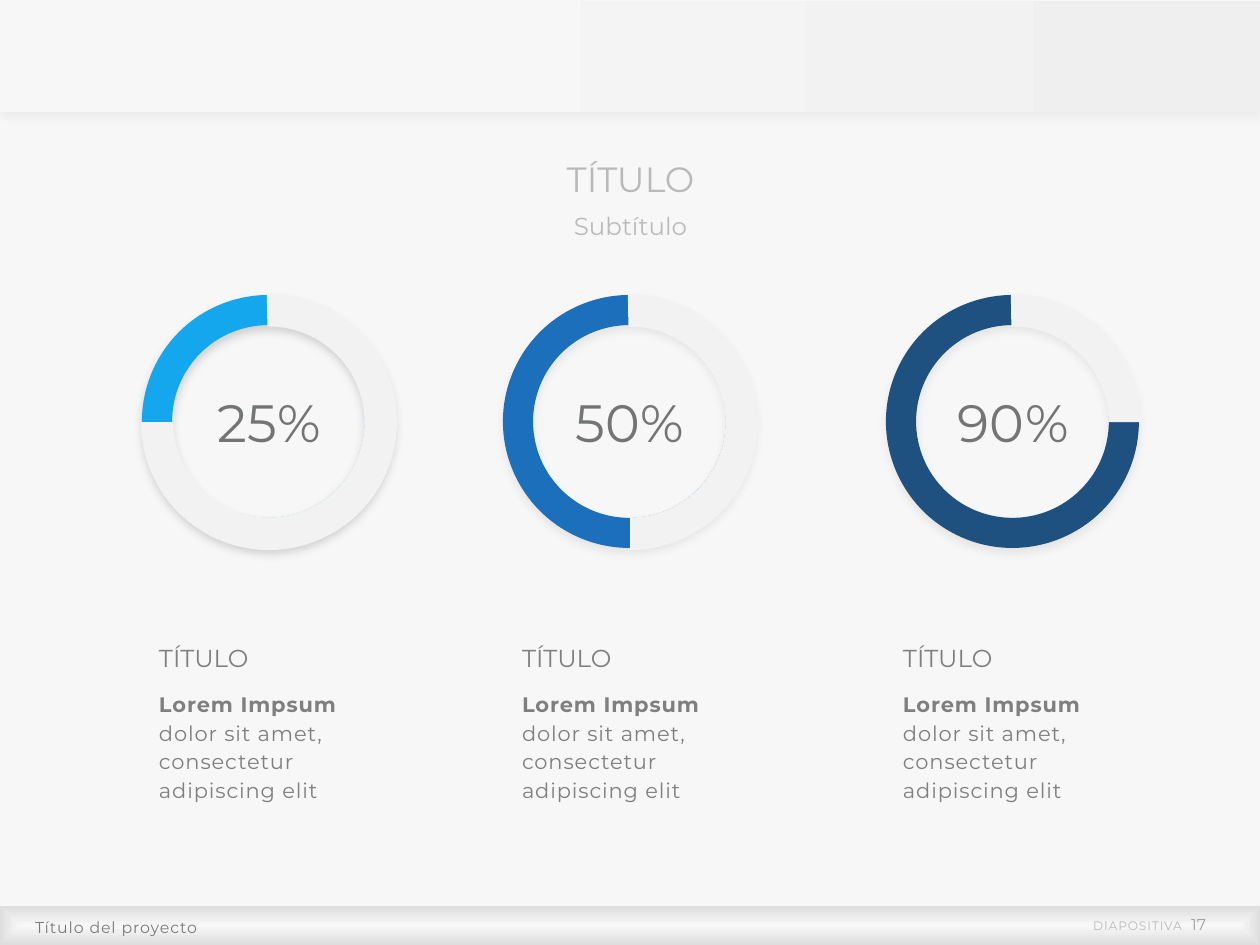
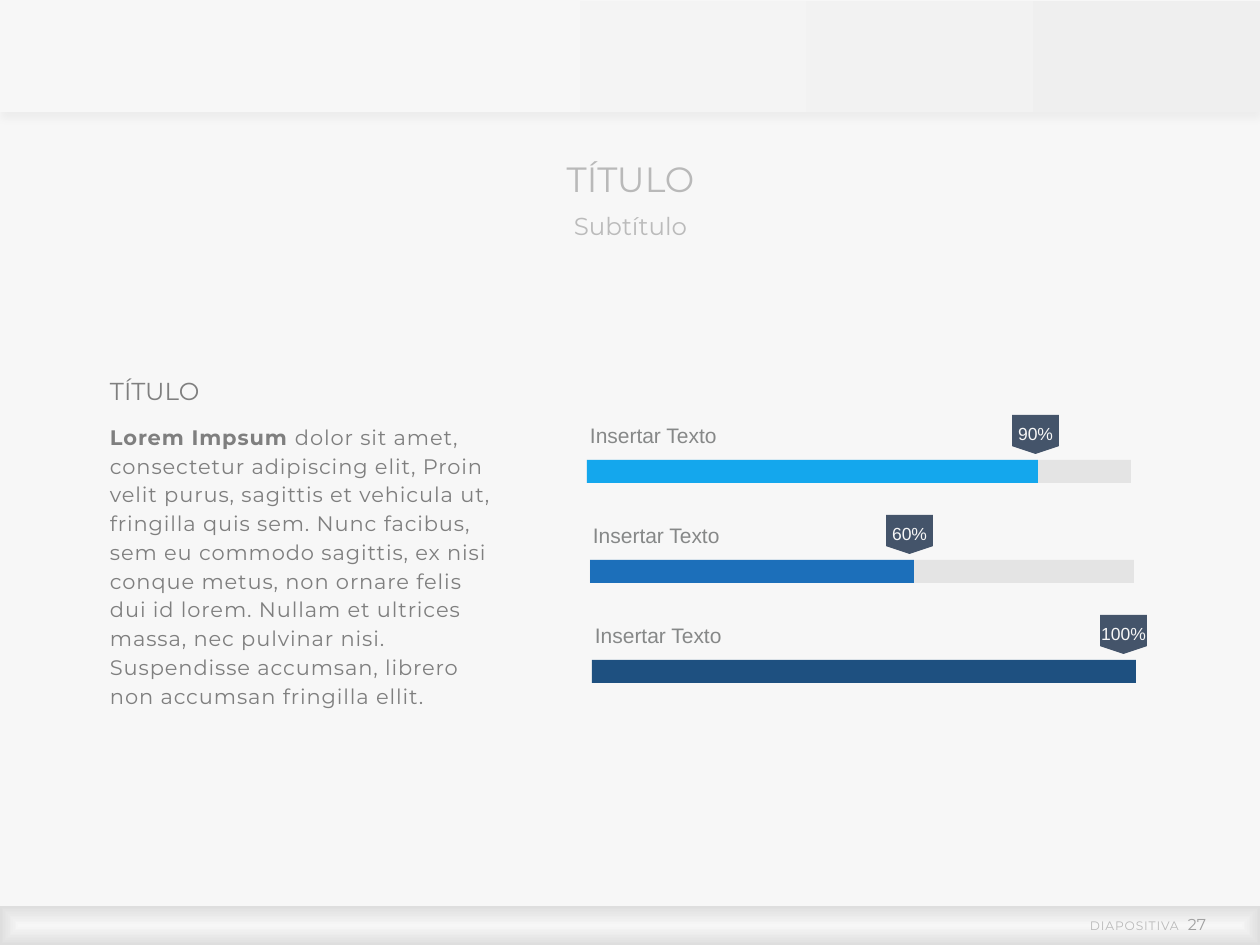
from dataclasses import dataclass

from lxml import etree
from pptx import Presentation
from pptx.dml.color import RGBColor
from pptx.enum import shapes, text
from pptx.oxml import ns
from pptx.util import Emu, Pt

PX = 914400 / 126
SLIDE_WIDTH, SLIDE_HEIGHT = 1260, 945
SHAPE = shapes.MSO_SHAPE
ALIGN = text.PP_ALIGN
ANCHOR = text.MSO_ANCHOR


@dataclass(frozen=True)
class Theme:
    font: str = "Montserrat"
    label_font: str = "Arial"
    background: str = "F7F7F7"
    header_end: str = "EFEFEF"
    footer_edge: str = "DEDEDE"
    heading: str = "B9B9B9"
    subtitle: str = "BBBBBB"
    page_number: str = "A1A1A1"
    project: str = "7C7C7C"
    body: str = "7F7F7F"
    percent: str = "737474"
    label: str = "868888"
    tag: str = "44546A"
    ring_rest: str = "F2F2F2"
    track: str = "E4E4E4"
    sky: str = "14A7ED"
    blue: str = "1C6FBA"
    navy: str = "1E5080"
    percent_size: int = 30
    heading_size: int = 20
    title_size: int = 14
    body_size: int = 12
    tag_size: int = 10
    footer_size: int = 9
    small_size: int = 7


def px(*lengths):
    return [Emu(round(length * PX)) for length in lengths]


class Deck:
    def __init__(self, theme):
        self.theme = theme
        self.presentation = Presentation()
        self.presentation.slide_width, self.presentation.slide_height = px(SLIDE_WIDTH, SLIDE_HEIGHT)
        self.slide = None

    def add_slide(self, number):
        """Start a slide with its bands, page number, title and subtitle."""
        theme = self.theme
        self.slide = self.presentation.slides.add_slide(self.presentation.slide_layouts[6])
        fill = self.slide.background.fill
        fill.solid()
        fill.fore_color.rgb = RGBColor.from_string(theme.background)

        header = self.shape(SHAPE.RECTANGLE, (0, 1, SLIDE_WIDTH, 111))
        self.gradient(header, 0.28, theme.header_end)
        self.shadow(header, 3, 4)
        footer = self.shape(SHAPE.RECTANGLE, (0, 906, SLIDE_WIDTH, 39))
        self.gradient(footer, 0, theme.footer_edge, from_centre=True)

        small = dict(size=theme.small_size, color=theme.heading)
        self.text(
            (1076, 915, 130, 19),
            [("DIAPOSITIVA", dict(small, spacing=0.5)),
             (" ", dict(small, spacing=2.85)),
             (number, dict(size=theme.footer_size, color=theme.page_number))],
            align=ALIGN.RIGHT, insets=(0, 0, 0, 0))
        self.text((402, 154, 457, 52),
                  [("TÍTULO", dict(size=theme.heading_size, color=theme.heading))],
                  align=ALIGN.CENTER, anchor=ANCHOR.BOTTOM, line_spacing=0.9)
        self.text((402, 208, 457, 40),
                  [("Subtítulo", dict(size=theme.title_size, color=theme.subtitle))],
                  align=ALIGN.CENTER, line_spacing=0.9)

    def shape(self, kind, box, color=None, adjustments=(), flipped=False):
        shape = self.slide.shapes.add_shape(kind, *px(*box))
        shape.shadow.inherit = False
        shape.line.fill.background()
        if color:
            shape.fill.solid()
            shape.fill.fore_color.rgb = RGBColor.from_string(color)
        for index, value in enumerate(adjustments):
            shape.adjustments[index] = value
        if flipped:
            shape._element.spPr.get_or_add_xfrm().set("flipH", "1")
        return shape

    def gradient(self, shape, start, end_color, from_centre=False):
        """Fade from the background colour to end_color, rightwards or outwards."""
        shape.fill.gradient()
        shape.fill.gradient_angle = 0
        first, last = shape.fill.gradient_stops
        first.position, last.position = start, 1
        first.color.rgb = RGBColor.from_string(self.theme.background)
        last.color.rgb = RGBColor.from_string(end_color)
        if from_centre:
            linear = shape._element.spPr.find(".//" + ns.qn("a:lin"))
            outward = etree.Element(ns.qn("a:path"), {"path": "shape"})
            etree.SubElement(outward, ns.qn("a:fillToRect"), dict.fromkeys("ltrb", "50000"))
            linear.getparent().replace(linear, outward)

    def shadow(self, shape, opacity, blur):
        """Cast a black shadow downwards; opacity is in percent, blur in points."""
        effects = shape._element.spPr.find(ns.qn("a:effectLst"))
        outer = etree.SubElement(effects, ns.qn("a:outerShdw"), {
            "blurRad": str(Pt(blur)), "dist": str(Pt(3)), "dir": "5400000",
            "algn": "t", "rotWithShape": "0"})
        color = etree.SubElement(outer, ns.qn("a:srgbClr"), {"val": "000000"})
        etree.SubElement(color, ns.qn("a:alpha"), {"val": str(opacity * 1000)})

    def text(self, box, runs, **layout):
        shape = self.slide.shapes.add_textbox(*px(*box))
        self.fill_text(shape, runs, **layout)

    def fill_text(self, shape, runs, align=ALIGN.LEFT, anchor=ANCHOR.TOP,
                  insets=(13, 6, 13, 6), line_spacing=1.0):
        frame = shape.text_frame
        frame.word_wrap = True
        frame.vertical_anchor = anchor
        (frame.margin_left, frame.margin_top,
         frame.margin_right, frame.margin_bottom) = px(*insets)
        paragraph = frame.paragraphs[0]
        paragraph.alignment = align
        paragraph.line_spacing = line_spacing
        for words, style in runs:
            run = paragraph.add_run()
            run.text = words
            self.style_run(run, **style)

    def style_run(self, run, size, color, font=None, bold=False, spacing=0):
        run.font.name = font or self.theme.font
        run.font.size = Pt(size)
        run.font.bold = bold
        run.font.color.rgb = RGBColor.from_string(color)
        if spacing:
            run._r.get_or_add_rPr().set("spc", str(round(spacing * 100)))

    def text_block(self, left, top, width, height, words):
        """A small title above a paragraph that opens in bold."""
        theme = self.theme
        self.text((left, top, 236, 69),
                  [("TÍTULO", dict(size=theme.title_size, color=theme.body))],
                  anchor=ANCHOR.BOTTOM, line_spacing=0.9)
        style = dict(size=theme.body_size, color=theme.body, spacing=0.5)
        self.text((left, top + 72, width, height),
                  [("Lorem Impsum ", dict(style, bold=True)), (words, style)],
                  line_spacing=1.14)

    def ring(self, left, percent, color, rest_start, opacity):
        """A donut partly covered by a pale arc that starts at rest_start degrees."""
        theme = self.theme
        top, size = 295, 253
        donut = self.shape(SHAPE.DONUT, (left, top, size, size), color, [0.119], flipped=True)
        self.shadow(donut, opacity, 5.6)
        self.shape(SHAPE.BLOCK_ARC, (left - 1, top - 1, size + 3, size + 3), theme.ring_rest,
                   [rest_start * 0.6, 270.95 * 0.6, 0.127], flipped=True)
        self.text((left, 384, size + 1, 77),
                  [(percent, dict(size=theme.percent_size, color=theme.percent, spacing=0.3))],
                  align=ALIGN.CENTER)

    def progress_bar(self, left, top, filled, color, percent, tag_left):
        theme = self.theme
        width, height = 544, 23
        self.text((left + 3, top - 37, 251, 25),
                  [("Insertar Texto", dict(size=theme.body_size, color=theme.label,
                                           font=theme.label_font))],
                  anchor=ANCHOR.MIDDLE, insets=(0, 0, 0, 0))
        if filled < width:
            self.shape(SHAPE.RECTANGLE, (left, top, width, height), theme.track)
        self.shape(SHAPE.RECTANGLE, (left, top, filled, height), color)
        tag = self.shape(SHAPE.FLOWCHART_OFFPAGE_CONNECTOR, (tag_left, top - 45, 47, 39), theme.tag)
        self.fill_text(tag, [(percent, dict(size=theme.tag_size, color=theme.background,
                                            font=theme.label_font))],
                       align=ALIGN.CENTER, anchor=ANCHOR.MIDDLE, insets=(0, 5, 0, 0))


def add_rings_slide(deck):
    theme = deck.theme
    deck.add_slide("17")
    deck.text((30, 906, 927, 39),
              [("Título del proyecto", dict(size=theme.footer_size, color=theme.project,
                                            spacing=0.5))],
              anchor=ANCHOR.MIDDLE, insets=(5, 0, 0, 0), line_spacing=1.14)
    rings = [
        (142, 146, "25%", theme.sky, 0, 17),
        (503, 509, "50%", theme.blue, 90, 7),
        (886, 890, "90%", theme.navy, 180, 7),
    ]
    for ring_left, text_left, percent, color, rest_start, opacity in rings:
        deck.ring(ring_left, percent, color, rest_start, opacity)
        deck.text_block(text_left, 610, 236, 134, "dolor sit amet, consectetur adipiscing elit")


def add_bars_slide(deck):
    theme = deck.theme
    deck.add_slide("27")
    deck.text_block(
        97, 343, 411, 373,
        "dolor sit amet, consectetur adipiscing elit, Proin velit purus, sagittis et "
        "vehicula ut, fringilla quis sem. Nunc facibus, sem eu commodo sagittis, ex nisi "
        "conque metus, non ornare felis dui id lorem. Nullam et ultrices massa, nec "
        "pulvinar nisi. Suspendisse accumsan, librero non accumsan fringilla ellit.")
    bars = [
        (587, 451, theme.sky, "90%", 1012),
        (590, 324, theme.blue, "60%", 886),
        (592, 544, theme.navy, "100%", 1100),
    ]
    for row, (left, filled, color, percent, tag_left) in enumerate(bars):
        deck.progress_bar(left, 460 + 100 * row, filled, color, percent, tag_left)


def main():
    deck = Deck(Theme())
    add_rings_slide(deck)
    add_bars_slide(deck)
    deck.presentation.save("out.pptx")


if __name__ == "__main__":
    main()
